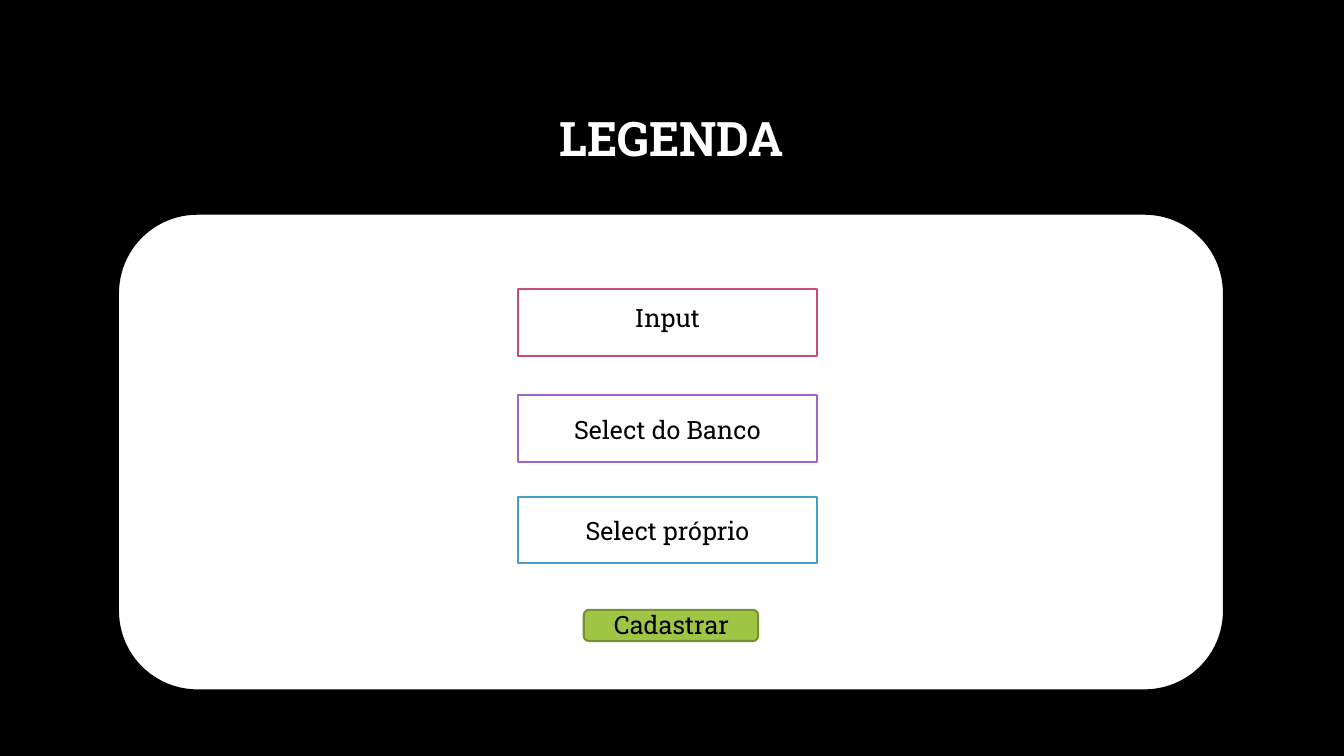
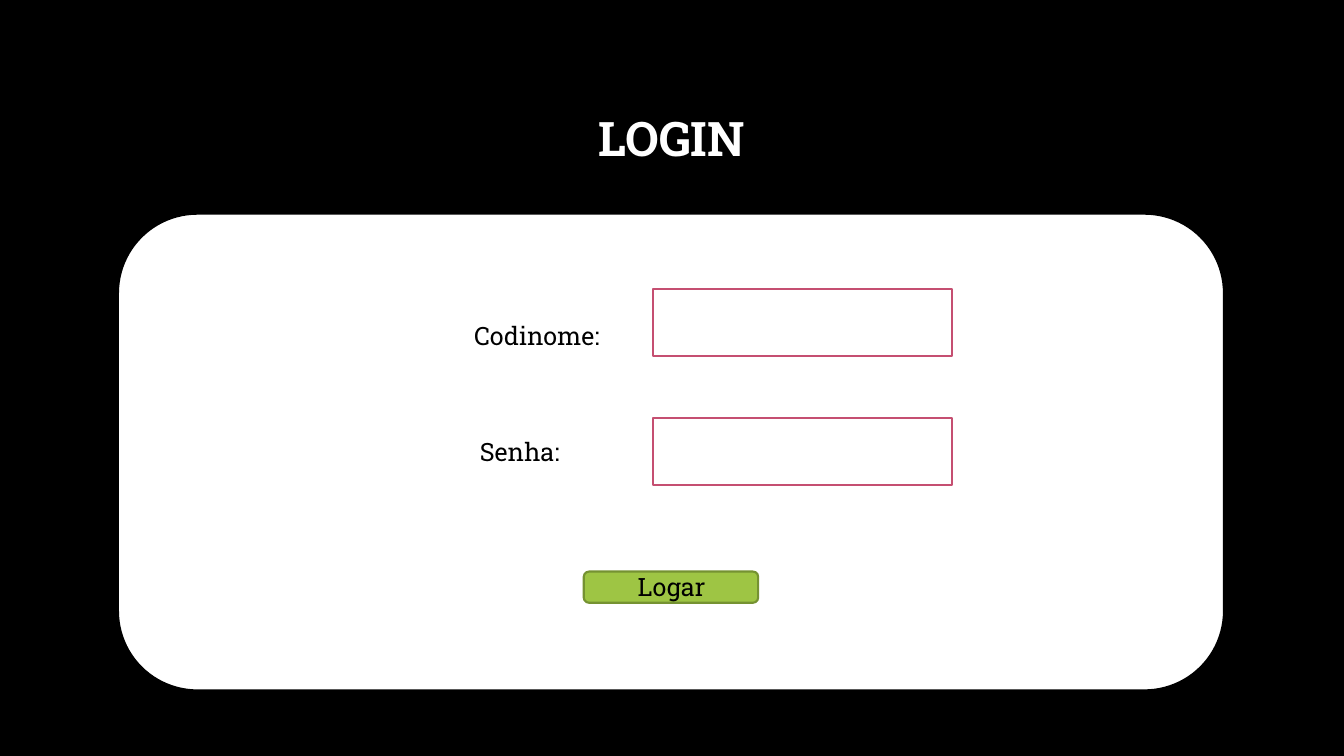
from pptx import Presentation
from pptx.dml.color import RGBColor
from pptx.enum.shapes import MSO_SHAPE as Shape
from pptx.enum.text import MSO_ANCHOR as Anchor, MSO_AUTO_SIZE as Auto, PP_ALIGN as Align
from pptx.util import Inches, Pt

BLACK = RGBColor(0x00, 0x00, 0x00)
WHITE = RGBColor(0xFF, 0xFF, 0xFF)
ROSE = RGBColor(0xC5, 0x4F, 0x71)
PURPLE = RGBColor(0x9A, 0x66, 0xCA)
BLUE = RGBColor(0x4A, 0x9C, 0xCC)
GREEN = RGBColor(0x9E, 0xC5, 0x44)
OLIVE = RGBColor(0x75, 0x92, 0x32)
FONT = "Roboto Slab"

# Content: fields are (left, top, colour), labels are (text, left, top, width)
PAGES = [
    {
        "title": "LEGENDA",
        "fields": [(5.14, 2.87, ROSE), (5.14, 3.92, PURPLE), (5.14, 4.93, BLUE)],
        "labels": [
            ("Input", 5.28, 2.95, 2.68),
            ("Select do Banco", 5.14, 4.06, 2.96),
            ("Select próprio", 5.28, 5.06, 2.68),
        ],
        "button": ("Cadastrar", 6.05),
    },
    {
        "title": "LOGIN",
        "fields": [(6.48, 2.87, ROSE), (6.48, 4.15, ROSE)],
        "labels": [
            ("Codinome:", 4.34, 3.13, 1.97),
            ("Senha:", 4.17, 4.28, 1.97),
        ],
        "button": ("Logar", 5.67),
    },
]

# Shared layout
TITLE = (1, 0.67, 11.32, 1.45)
PANEL = (1.17, 2.12, 10.97, 4.73)
FIELD = (2.96, 0.66)
BUTTON = (5.79, 1.73, 0.31)  # left, width, height
CAPTION = (5.92, 1.48)  # left, width
LIFT = 0.05  # caption starts this far above its button
LABEL_H = 0.4


def style(para, size, color):
    para.alignment = Align.CENTER
    para.font.name = FONT
    para.font.size = Pt(size)
    para.font.color.rgb = color


def add_title(slide, text):
    title = slide.shapes.title
    title.left, title.top, title.width, title.height = map(Inches, TITLE)
    frame = title.text_frame
    frame.text = text
    frame.vertical_anchor = Anchor.MIDDLE
    para = frame.paragraphs[0]
    style(para, 34, WHITE)
    para.font.bold = True
    para.line_spacing = 0.9


def add_box(slide, kind, place, fill, line):
    box = slide.shapes.add_shape(kind, *map(Inches, place))
    box.shadow.inherit = False
    box.fill.solid()
    box.fill.fore_color.rgb = fill
    box.line.color.rgb = line
    box.line.width = Pt(1.5)


def add_label(slide, text, left, top, width):
    box = slide.shapes.add_textbox(*map(Inches, (left, top, width, LABEL_H)))
    frame = box.text_frame
    frame.word_wrap = True
    frame.auto_size = Auto.SHAPE_TO_FIT_TEXT
    frame.text = text
    style(frame.paragraphs[0], 18, BLACK)


def add_button(slide, text, top):
    left, width, height = BUTTON
    add_box(slide, Shape.ROUNDED_RECTANGLE, (left, top, width, height), GREEN, OLIVE)
    left, width = CAPTION
    add_label(slide, text, left, top - LIFT, width)


prs = Presentation()
prs.slide_width, prs.slide_height = Inches(13.33), Inches(7.5)
back = prs.slide_master.background.fill
back.solid()
back.fore_color.rgb = BLACK

for page in PAGES:
    slide = prs.slides.add_slide(prs.slide_layouts[5])
    add_title(slide, page["title"])
    add_box(slide, Shape.ROUNDED_RECTANGLE, PANEL, WHITE, BLACK)
    for left, top, color in page["fields"]:
        add_box(slide, Shape.RECTANGLE, (left, top, *FIELD), WHITE, color)
    for label in page["labels"]:
        add_label(slide, *label)
    add_button(slide, *page["button"])

prs.save("out.pptx")
